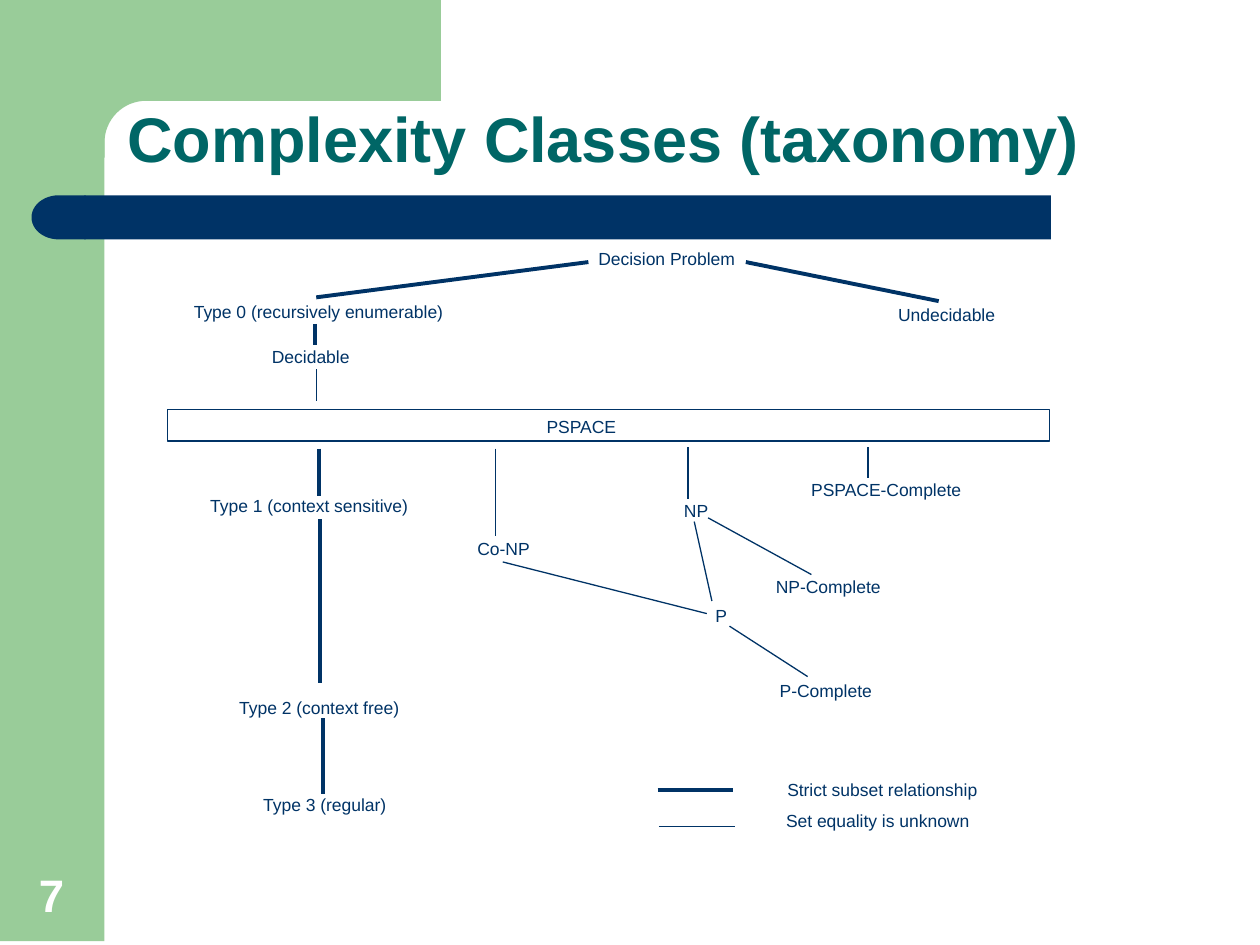
import math

from pptx import Presentation
from pptx import util as u
from pptx.dml.color import RGBColor
from pptx.enum import shapes, text
from pptx.oxml.ns import qn
from lxml import etree

COLORS = {"green": "99CC99", "navy": "003366", "teal": "006666", "white": "FFFFFF"}
FONT = "Arial"
THICK, THIN = 2.25, 0.75
LABEL_HEIGHT = 0.27

# text, left, top, width
LABELS = [
    ("Decision Problem", 4.65, 1.92, 1.28),
    ("Undecidable", 7.03, 2.36, 0.97),
    ("Type 0 (recursively enumerable)", 1.44, 2.34, 2.18),
    ("Decidable", 2.06, 2.7, 0.81),
    ("PSPACE", 4.24, 3.25, 0.76),
    ("Type 1 (context sensitive)", 1.57, 3.88, 1.77),
    ("PSPACE-Complete", 6.34, 3.75, 1.4),
    ("Co-NP", 3.69, 4.22, 0.61),
    ("NP", 5.33, 3.92, 0.39),
    ("NP-Complete", 6.06, 4.52, 1.03),
    ("P", 5.58, 4.75, 0.29),
    ("P-Complete", 6.09, 5.35, 0.93),
    ("Type 2 (context free)", 1.8, 5.48, 1.47),
    ("Type 3 (regular)", 1.99, 6.25, 1.18),
    ("Strict subset relationship", 6.15, 6.13, 1.7),
    ("Set equality is unknown", 6.14, 6.38, 1.65),
]

# start x, start y, end x, end y
STRICT_SUBSETS = [
    (4.67, 2.08, 2.51, 2.36),
    (5.92, 2.08, 7.45, 2.39),
    (2.5, 2.57, 2.5, 2.74),
    (2.53, 3.56, 2.53, 3.94),
    (2.54, 4.12, 2.54, 5.42),
    (2.56, 5.7, 2.56, 6.3),
    (5.22, 6.27, 5.82, 6.27),
]
UNKNOWN_EQUALITIES = [
    (2.51, 2.93, 2.51, 3.18),
    (3.93, 3.56, 3.93, 4.25),
    (3.99, 4.46, 5.61, 4.87),
    (5.46, 3.55, 5.46, 3.96),
    (5.51, 4.14, 5.65, 4.77),
    (6.89, 3.55, 6.89, 3.79),
    (5.62, 4.11, 6.44, 4.56),
    (5.79, 4.97, 6.41, 5.37),
    (5.23, 6.56, 5.83, 6.56),
]


def color(name):
    return RGBColor.from_string(COLORS[name])


def inches(*values):
    return [u.Inches(value) for value in values]


def fill_plain(shape, name):
    shape.shadow.inherit = False
    shape.fill.solid()
    shape.fill.fore_color.rgb = color(name)
    shape.line.fill.background()


def add_block(slide, preset, box, name):
    shape = slide.shapes.add_shape(preset, *inches(*box))
    fill_plain(shape, name)
    return shape


def add_corner(slide):
    """Draw the green top band with its rounded inner corner."""
    top, right, left, inner_left, band_bottom, bottom = -0.03, 3.5, 0.5, 0.83, 0.8, 1.25
    radius = 0.33
    steps = 16
    angles = [math.pi / 2 * step / steps for step in range(steps + 1)]
    arc = [(inner_left + radius * (1 - math.sin(angle)),
            band_bottom + radius * (1 - math.cos(angle))) for angle in angles]
    points = [(right, top), (right, band_bottom), *arc,
              (inner_left, bottom), (left, bottom)]
    builder = slide.shapes.build_freeform(*inches(left, top), scale=1.0)
    builder.add_line_segments([inches(*point) for point in points], close=True)
    fill_plain(builder.convert_to_shape(), "green")


def write_run(paragraph, words, size, name, bold=False):
    run = paragraph.add_run()
    run.text = words
    run.font.name = FONT
    run.font.size = u.Pt(size)
    run.font.bold = bold
    run.font.color.rgb = color(name)


def set_title(slide, words):
    title = slide.shapes.title
    title.left, title.top, title.width, title.height = inches(0.91, 0.36, 8.51, 1.09)
    frame = title.text_frame
    frame.vertical_anchor = text.MSO_ANCHOR.BOTTOM
    frame.auto_size = text.MSO_AUTO_SIZE.NONE
    paragraph = frame.paragraphs[0]
    paragraph.alignment = text.PP_ALIGN.LEFT
    paragraph.line_spacing = 0.9
    write_run(paragraph, words, 36, "teal", bold=True)


def add_label(slide, words, left, top, width):
    box = slide.shapes.add_textbox(*inches(left, top, width, LABEL_HEIGHT))
    frame = box.text_frame
    frame.word_wrap = False
    frame.auto_size = text.MSO_AUTO_SIZE.SHAPE_TO_FIT_TEXT
    # A narrower right margin leaves the words room to stay on one line.
    frame.margin_right = u.Inches(0.07)
    write_run(frame.paragraphs[0], words, 10, "navy")


def add_page_number(slide, number):
    box = slide.shapes.add_textbox(*inches(0.09, 6.83, 0.64, 0.53))
    frame = box.text_frame
    frame.word_wrap = True
    frame.vertical_anchor = text.MSO_ANCHOR.BOTTOM
    paragraph = frame.paragraphs[0]
    paragraph.alignment = text.PP_ALIGN.CENTER
    write_run(paragraph, number, 26, "white", bold=True)


def add_relation(slide, ends, weight):
    line = slide.shapes.add_connector(shapes.MSO_CONNECTOR.STRAIGHT, *inches(*ends))
    line.line.color.rgb = color("navy")
    line.line.width = u.Pt(weight)
    etree.SubElement(line._element.spPr, qn("a:effectLst"))


def add_pspace_box(slide):
    box = slide.shapes.add_shape(
        shapes.MSO_SHAPE.RECTANGLE, *inches(1.33, 3.25, 7, 0.25))
    box.shadow.inherit = False
    box.fill.background()
    box.line.color.rgb = color("navy")
    box.line.width = u.Pt(THIN)


def add_decoration(slide):
    rectangle = shapes.MSO_SHAPE.RECTANGLE
    add_block(slide, rectangle, (0, -0.03, 0.83, 7.5), "green")
    add_corner(slide)
    add_block(slide, rectangle, (0.67, 1.55, 7.67, 0.35), "navy")
    cap = add_block(slide, shapes.MSO_SHAPE.FLOWCHART_DELAY,
                    (0.25, 1.55, 0.43, 0.35), "navy")
    cap.rotation = 180


def main():
    presentation = Presentation()
    presentation.slide_width, presentation.slide_height = inches(10, 7.5)
    title_only = presentation.slide_layouts[5]
    slide = presentation.slides.add_slide(title_only)

    add_decoration(slide)
    # Bring the title in front of the decoration.
    slide.shapes._spTree.append(slide.shapes.title._element)
    set_title(slide, "Complexity Classes (taxonomy)")
    add_pspace_box(slide)
    for label in LABELS:
        add_label(slide, *label)
    for weight, relations in ((THICK, STRICT_SUBSETS), (THIN, UNKNOWN_EQUALITIES)):
        for ends in relations:
            add_relation(slide, ends, weight)
    add_page_number(slide, "7")

    presentation.save("out.pptx")


if __name__ == "__main__":
    main()
